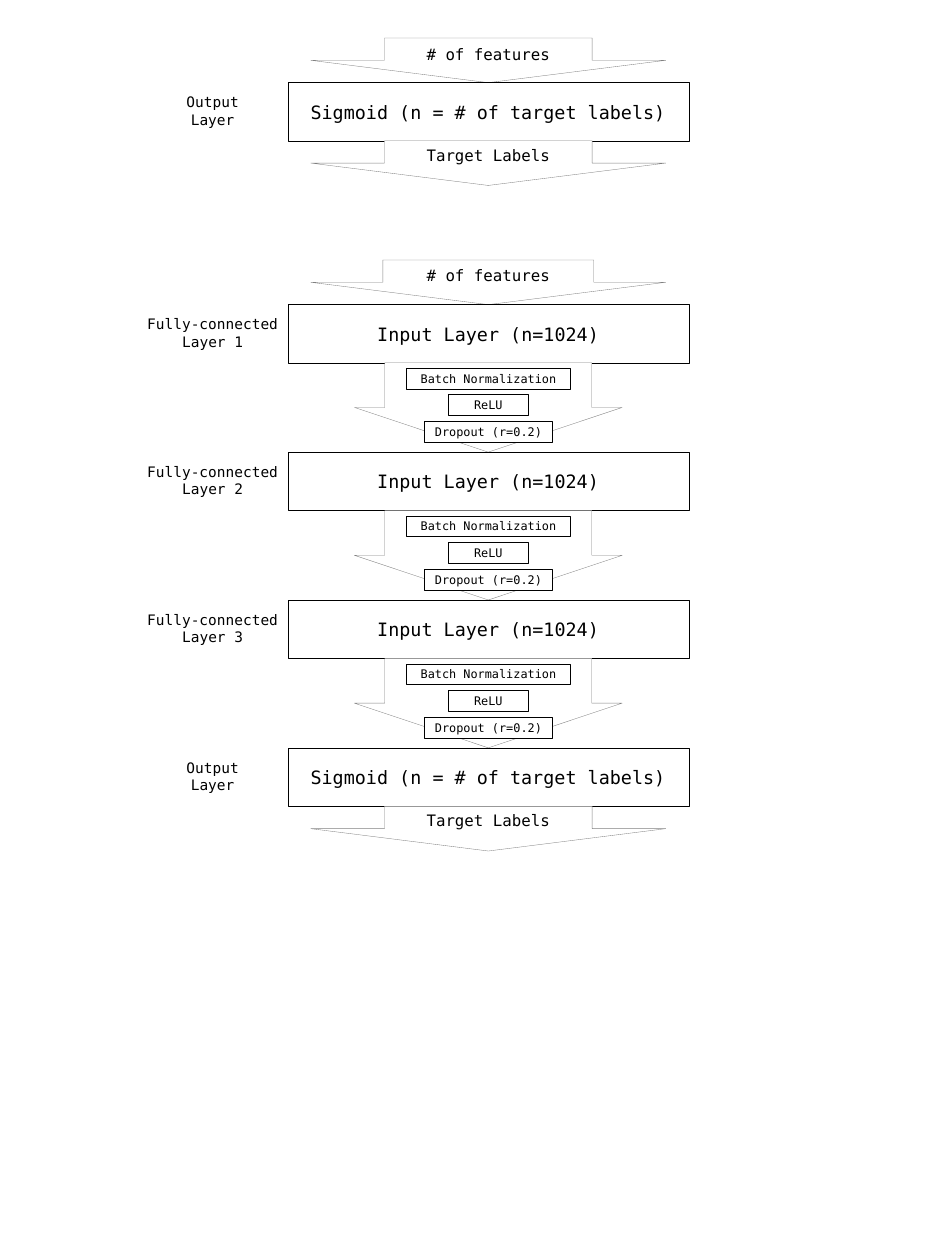
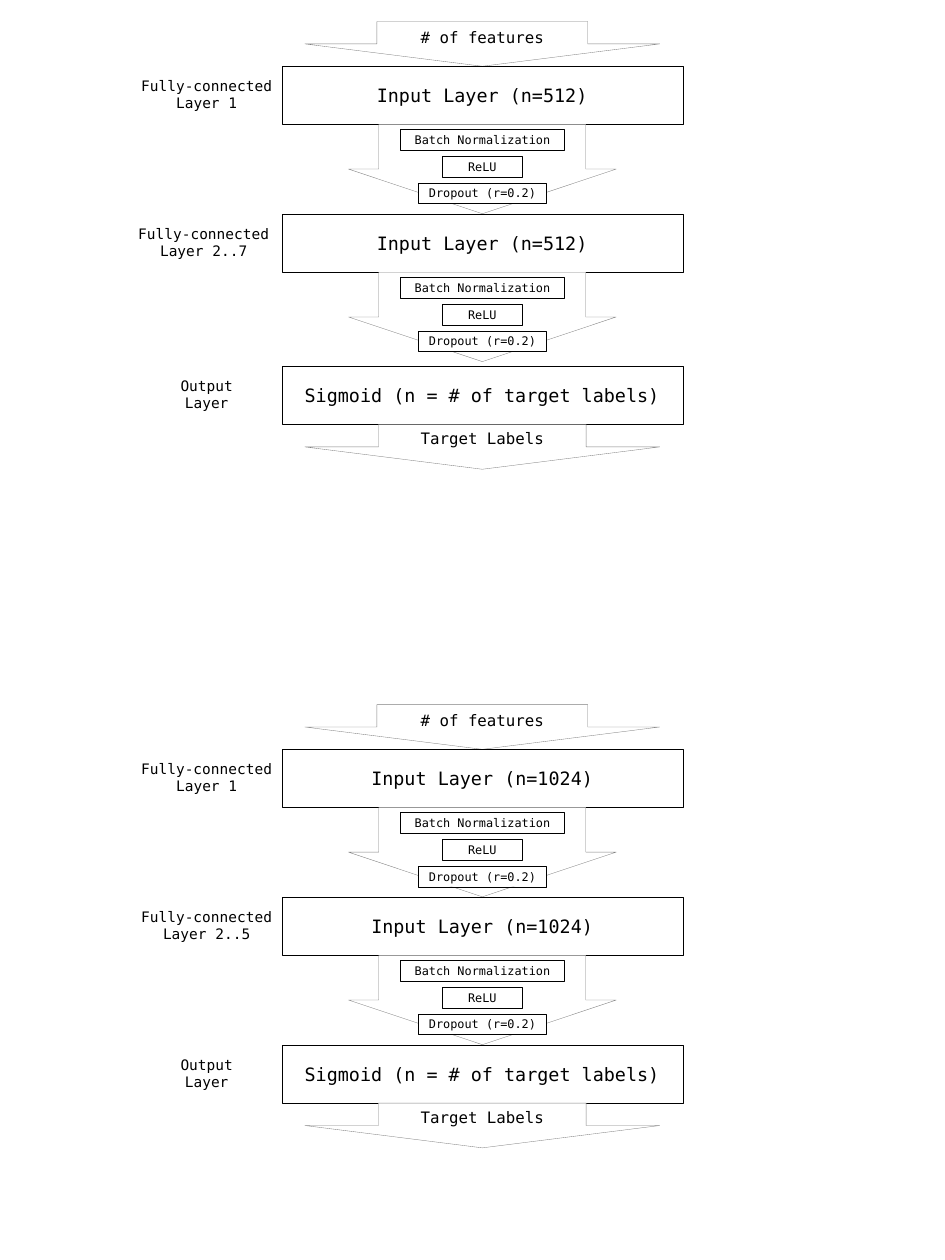
import pptx
import pptx.util
import pptx.dml.color
import pptx.enum.shapes
import pptx.enum.text

Cm, Pt = pptx.util.Cm, pptx.util.Pt
KIND = pptx.enum.shapes.MSO_SHAPE
ANCHOR = pptx.enum.text.MSO_ANCHOR
FIT = pptx.enum.text.MSO_AUTO_SIZE
MID = pptx.enum.text.PP_ALIGN.CENTER

# Content: each stack lists its hidden layers as (label, units, label shift)
FEED, GOAL = "# of features", "Target Labels"
FINAL = ("Output\nLayer", "Sigmoid (n = # of target labels)")
TAGS = [("Batch Normalization", 4.39), ("ReLU", 2.13), ("Dropout (r=0.2)", 3.45)]
SLIDES = [
    {"mid": 13.11, "stacks": [
        {"top": 8.18, "gap": 0, "layers": [
            ("Layer 1", 1024, 0), ("Layer 2", 1024, 0), ("Layer 3", 1024, 0)]},
        {"top": 2.22, "gap": 0, "layers": []},
    ]},
    {"mid": 12.95, "stacks": [
        {"top": 1.78, "gap": 0.12, "layers": [
            ("Layer 1", 512, 0), ("Layer 2..7", 512, -0.08)]},
        {"top": 20.12, "gap": 0, "layers": [
            ("Layer 1", 1024, 0), ("Layer 2..5", 1024, 0)]},
    ]},
]

# Shared style and sizes, in centimetres
FONT, INK, GREY, PAPER = "DejaVu Sans Mono", "000000", "808080", "FFFFFF"
BOX, ENDS, LINK = (10.77, 1.56), (9.53, 1.2), (7.19, 2.4)
STEP = 3.97
TAG_TOP, TAG_STEP, TAG_HIGH = 1.7, 0.715, 0.56
SIDE, LABEL_TOP, LABEL_HIGH = -7.4, 0.16, 1.19


def tint(code):
    return pptx.dml.color.RGBColor.from_string(code)


def put(item, **form):
    for name, value in form.items():
        setattr(item, name, value)


def write(shape, text, size, **form):
    frame = shape.text_frame
    frame.text = text
    put(frame, **form)
    for para in frame.paragraphs:
        para.alignment = MID
        put(para.font, name=FONT, size=Pt(size))
        para.font.color.rgb = tint(INK)


def frame_at(mid, top, size):
    wide, high = size
    return Cm(mid - wide / 2), Cm(top), Cm(wide), Cm(high)


def draw(group, kind, mid, top, size, line):
    shape = group.shapes.add_shape(kind, *frame_at(mid, top, size))
    shape.shadow.inherit = False
    shape.fill.solid()
    shape.fill.fore_color.rgb = tint(PAPER)
    shape.line.color.rgb = tint(line)
    shape.line.width = Pt(0.25)
    return shape


def box(group, mid, top, size, text, points):
    shape = draw(group, KIND.RECTANGLE, mid, top, size, INK)
    write(shape, text, points, vertical_anchor=ANCHOR.MIDDLE)


def arrow(group, mid, top, size, shaft, text="", anchor=ANCHOR.MIDDLE):
    shape = draw(group, KIND.DOWN_ARROW, mid, top, size, GREY)
    shape.adjustments[0] = shaft
    shape.adjustments[1] = 0.5
    if text:
        write(shape, text, 12, vertical_anchor=anchor)


def label(group, mid, top, text, wide):
    shape = group.shapes.add_textbox(
        *frame_at(mid + SIDE, top + LABEL_TOP, (wide, LABEL_HIGH)))
    write(shape, text, 11, word_wrap=False, auto_size=FIT.SHAPE_TO_FIT_TEXT)


def stack(slide, mid, top, gap, layers):
    group = slide.shapes.add_group_shape()
    # Incoming features
    arrow(group, mid, top - ENDS[1], ENDS, 0.594 if layers else 0.585, FEED)
    # Hidden layers
    for name, units, shift in layers:
        box(group, mid, top, BOX, f"Input Layer (n={units})", 14)
        arrow(group, mid, top + BOX[1], LINK, 0.773)
        label(group, mid + shift, top, f"Fully-connected\n{name}", 4.06)
        for row, (text, wide) in enumerate(TAGS):
            box(group, mid, top + TAG_TOP + row * TAG_STEP, (wide, TAG_HIGH), text, 9)
        top += STEP
    # Output layer
    top += gap
    name, text = FINAL
    box(group, mid, top, BOX, text, 14)
    arrow(group, mid, top + BOX[1], ENDS, 0.585, GOAL, ANCHOR.TOP)
    label(group, mid, top, name, 1.93)


def main():
    deck = pptx.Presentation()
    put(deck, slide_width=Cm(25.37), slide_height=Cm(33.83))
    for page in SLIDES:
        slide = deck.slides.add_slide(deck.slide_layouts[6])
        for part in page["stacks"]:
            stack(slide, page["mid"], **part)
    deck.save("out.pptx")


if __name__ == "__main__":
    main()
